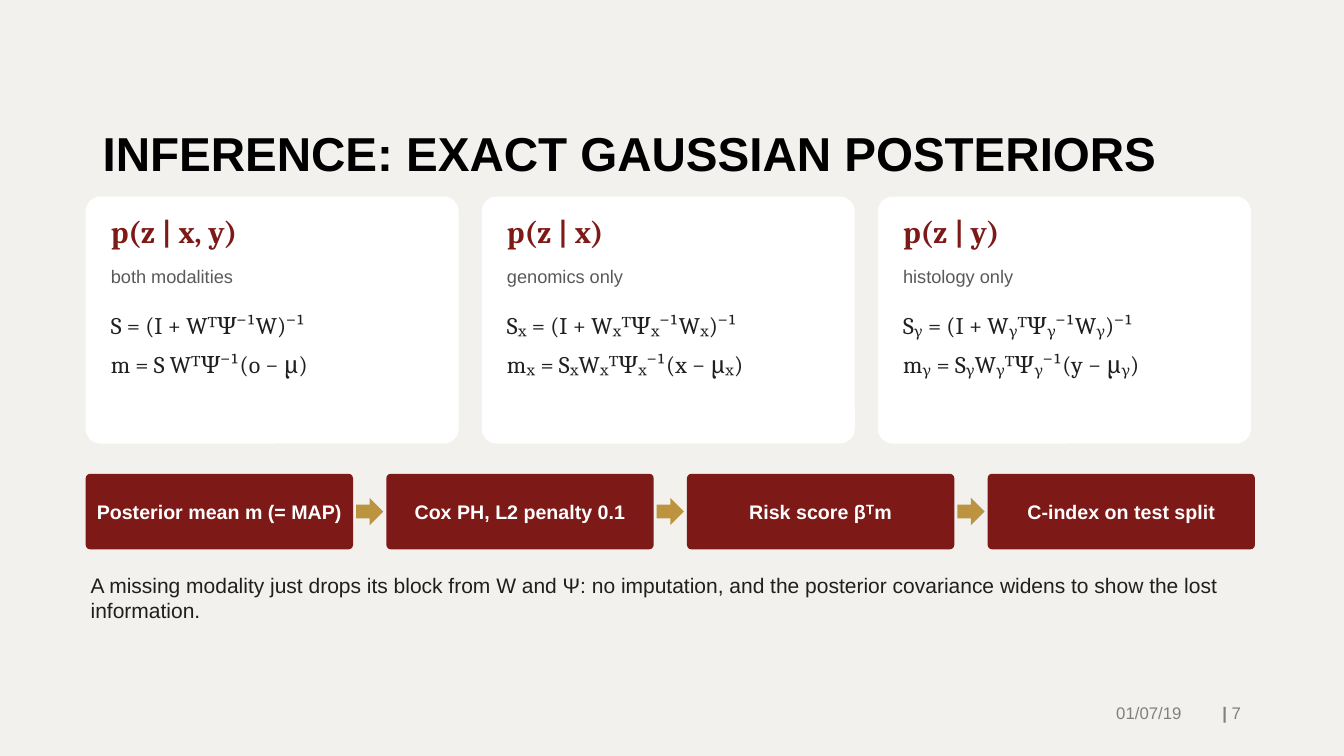
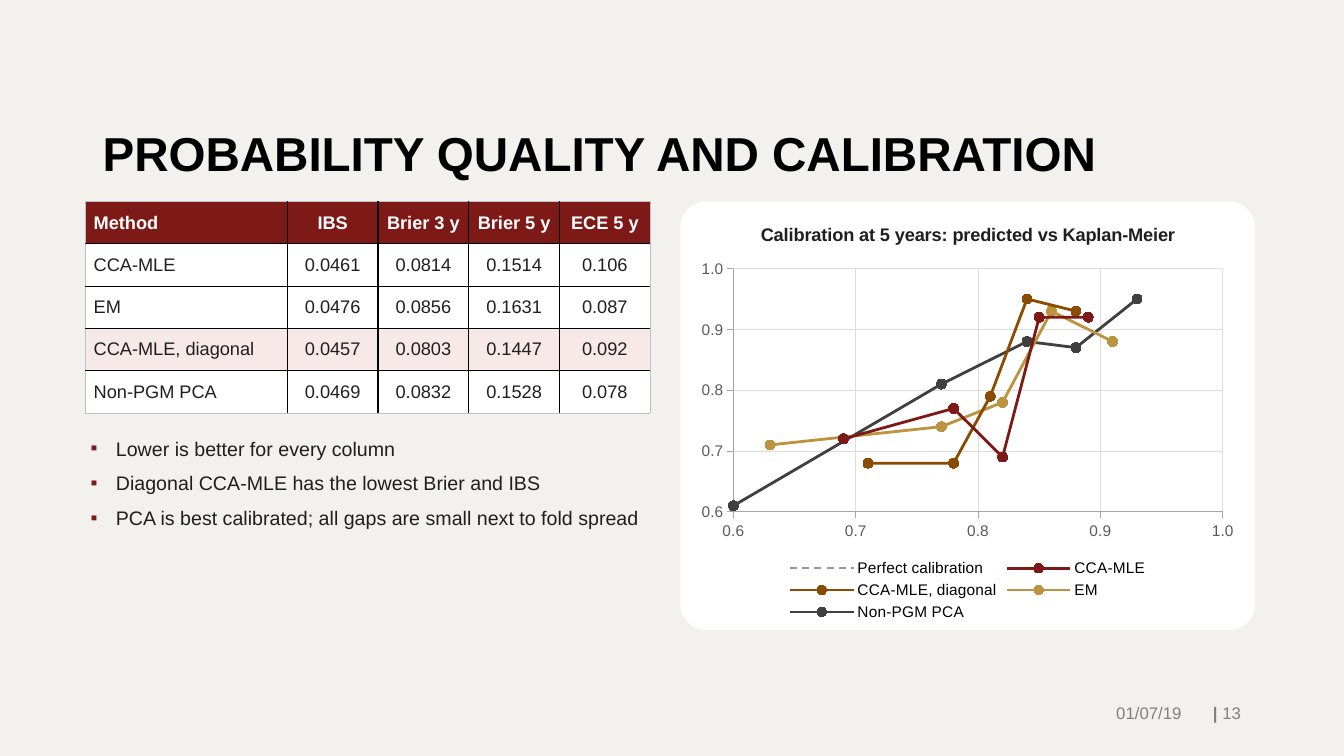
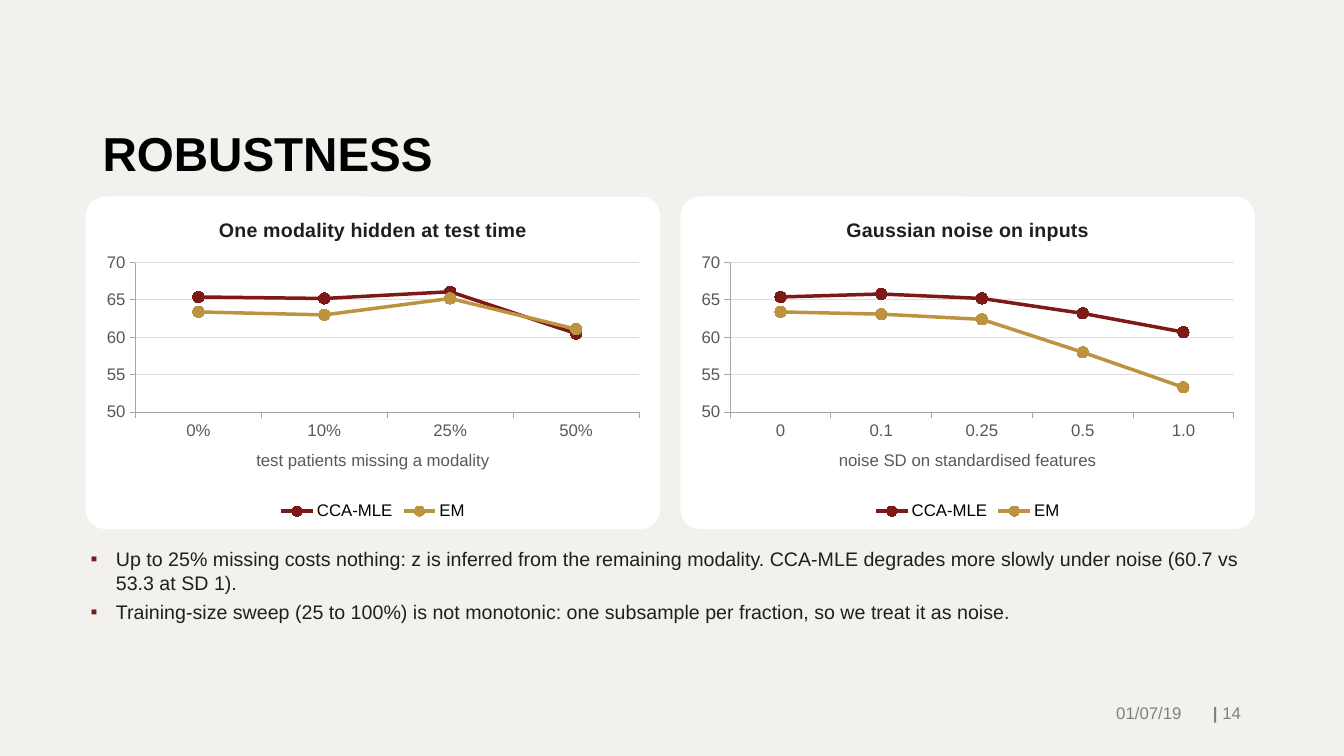
import dataclasses

import lxml.etree
import pptx
import pptx.chart.data
import pptx.dml.color
import pptx.enum.chart
import pptx.enum.dml
import pptx.enum.shapes
import pptx.enum.text
import pptx.oxml.ns
import pptx.util


@dataclasses.dataclass(frozen=True)
class Theme:
    """Colours, fonts and type sizes of the deck."""
    sans: str = "Arial"
    serif: str = "Cambria"
    paper: str = "F2F1EE"
    white: str = "FFFFFF"
    black: str = "000000"
    ink: str = "1F1F1F"
    soft: str = "595959"
    footer: str = "808080"
    maroon: str = "7D1916"
    blush: str = "F6E9E8"
    gold: str = "BC933E"
    brown: str = "894C00"
    charcoal: str = "404040"
    reference: str = "999999"
    axis: str = "A5A5A5"
    grid: str = "DDDDDD"
    edge: str = "BFBFBF"
    title_size: int = 34
    formula_size: int = 22
    equation_size: int = 17
    note_size: int = 15
    body_size: int = 14
    small_size: int = 13
    footer_size: int = 12
    tick_size: int = 11


THEME = Theme()
CELL = pptx.util.Inches(0.1)
MARGIN, CONTENT = 8.5, 116
TEXT_INSETS = (0.5, 0.3)
PP_ALIGN = pptx.enum.text.PP_ALIGN
ANCHOR = pptx.enum.text.MSO_ANCHOR
SHAPE = pptx.enum.shapes.MSO_SHAPE
CHART = pptx.enum.chart.XL_CHART_TYPE


def cells(*lengths):
    """Turn grid cells into slide lengths."""
    return [round(length * CELL) for length in lengths]


def columns(count, gap, span=CONTENT):
    """Return the left edges and the shared width of equal columns."""
    width = (span - gap * (count - 1)) / count
    return [MARGIN + index * (width + gap) for index in range(count)], width


def rgb(code):
    """Turn a hex code into a colour."""
    return pptx.dml.color.RGBColor.from_string(code)


def paint(fill, color):
    """Give a fill one solid colour."""
    fill.solid()
    fill.fore_color.rgb = rgb(color)


def style_font(font, size, color, bold=False, name=THEME.sans):
    """Set the look of a font."""
    font.name, font.size, font.bold = name, pptx.util.Pt(size), bold
    font.color.rgb = rgb(color)


def add_xml(parent, tag, **attributes):
    """Append a drawing element to its parent."""
    return lxml.etree.SubElement(parent, pptx.oxml.ns.qn(tag), attributes)


def add_bullet(para):
    """Give a paragraph a square bullet with a hanging indent."""
    props = para._p.get_or_add_pPr()
    indent = pptx.util.Inches(0.25)
    props.set("marL", str(indent))
    props.set("indent", str(-indent))
    add_xml(add_xml(props, "a:buClr"), "a:srgbClr", val=THEME.maroon)
    add_xml(props, "a:buFont", typeface=THEME.sans)
    add_xml(props, "a:buChar", char="▪")


def write(frame, *lines, size=THEME.body_size, color=THEME.ink, bold=False,
          font=THEME.sans, align=PP_ALIGN.LEFT, after=0, spacing=None, bullet=False):
    """Fill a frame; a line is text or a list of (text, bold) spans."""
    for index, line in enumerate(lines):
        para = frame.paragraphs[0] if index == 0 else frame.add_paragraph()
        if bullet:
            add_bullet(para)
        para.alignment = align
        if after:
            para.space_after = pptx.util.Pt(after)
        if spacing:
            para.line_spacing = spacing
        for text, weight in [(line, bold)] if isinstance(line, str) else line:
            span = para.add_run()
            span.text = text
            style_font(span.font, size, color, weight, font)


def set_frame(frame, anchor, insets):
    """Set wrapping, anchor and insets of a text frame."""
    frame.word_wrap = True
    frame.vertical_anchor = anchor
    side, edge = cells(*insets)
    frame.margin_left = frame.margin_right = side
    frame.margin_top = frame.margin_bottom = edge


def add_text(page, area, *lines, anchor=ANCHOR.TOP, insets=TEXT_INSETS, **style):
    """Add a text box."""
    box = page.shapes.add_textbox(*cells(*area))
    set_frame(box.text_frame, anchor, insets)
    write(box.text_frame, *lines, **style)


def add_block(page, area, color, kind=SHAPE.ROUNDED_RECTANGLE):
    """Add a flat filled shape."""
    block = page.shapes.add_shape(kind, *cells(*area))
    block.shadow.inherit = False
    paint(block.fill, color)
    block.line.fill.background()
    if kind == SHAPE.ROUNDED_RECTANGLE:
        block.adjustments[0] = 0.06
    return block


def add_page(deck, title, number):
    """Add a slide with its title and footer."""
    page = deck.slides.add_slide(deck.slide_layouts[6])
    add_text(page, (9.2, 4, 115, 14.5), title, anchor=ANCHOR.BOTTOM, insets=(1, 0.5),
             size=THEME.title_size, color=THEME.black, bold=True, spacing=0.9)
    for left, width, line in ((118.1, 6, [("| ", True), (str(number), False)]),
                              (86.7, 31.5, "01/07/19")):
        add_text(page, (left, 68.7, width, 4.1), line, anchor=ANCHOR.MIDDLE,
                 insets=(1, 0.5), size=THEME.footer_size, color=THEME.footer,
                 align=PP_ALIGN.RIGHT)
    return page


def add_posterior(page, left, width, formula, caption, equations):
    """Add a card with a posterior and its equations."""
    add_block(page, (left, 19.5, width, 24.5), THEME.white)
    inner, inner_width = left + 2, width - 4
    add_text(page, (inner, 20.8, inner_width, 5), formula, size=THEME.formula_size,
             color=THEME.maroon, bold=True, font=THEME.serif)
    add_text(page, (inner, 26, inner_width, 3.5), caption, size=THEME.small_size,
             color=THEME.soft)
    add_text(page, (inner, 30.5, inner_width, 13), *equations,
             size=THEME.equation_size, font=THEME.serif, after=8)


def add_flow(page, top, height, steps):
    """Add a row of steps joined by arrows."""
    gap, arrow = 3.3, 2.7
    lefts, width = columns(len(steps), gap)
    for index, (left, step) in enumerate(zip(lefts, steps)):
        block = add_block(page, (left, top, width, height), THEME.maroon)
        set_frame(block.text_frame, ANCHOR.MIDDLE, TEXT_INSETS)
        write(block.text_frame, step, color=THEME.white, bold=True, align=PP_ALIGN.CENTER)
        if index:
            add_block(page, (left - (gap + arrow) / 2, top + (height - arrow) / 2,
                             arrow, arrow), THEME.gold, SHAPE.RIGHT_ARROW)


def add_borders(cell, outer):
    """Draw cell borders, pale on the outer sides."""
    props = cell._tc.get_or_add_tcPr()
    for side in ("L", "R", "T", "B"):
        width = pptx.util.Pt(0.5 if side in outer else 1)
        line = add_xml(props, f"a:ln{side}", w=str(width))
        add_xml(add_xml(line, "a:solidFill"), "a:srgbClr",
                val=THEME.edge if side in outer else THEME.black)


def add_table(page, area, widths, rows, highlight):
    """Add a table with a dark header and one tinted row."""
    table = page.shapes.add_table(len(rows), len(widths), *cells(*area)).table
    for column, width in zip(table.columns, cells(*widths)):
        column.width = width
    last_row, last_column = len(rows) - 1, len(widths) - 1
    for r, row in enumerate(rows):
        fill = THEME.maroon if r == 0 else THEME.blush if r == highlight else THEME.white
        for c, text in enumerate(row):
            cell = table.cell(r, c)
            sides = {"L": c == 0, "R": c == last_column, "T": r == 0, "B": r == last_row}
            add_borders(cell, [side for side, outside in sides.items() if outside])
            paint(cell.fill, fill)
            cell.vertical_anchor = ANCHOR.MIDDLE
            cell.margin_left, cell.margin_top = cells(0.8, 0.3)
            cell.margin_right, cell.margin_bottom = cells(0.8, 0.3)
            write(cell.text_frame, text, size=THEME.small_size, bold=r == 0,
                  color=THEME.ink if r else THEME.white,
                  align=PP_ALIGN.CENTER if c else PP_ALIGN.LEFT)


def style_axis(axis, size, scale=None, grid=False, number_format=None):
    """Set ticks, lines and scale of an axis."""
    style_font(axis.tick_labels.font, size, THEME.soft)
    axis.format.line.color.rgb = rgb(THEME.axis)
    axis.format.line.width = pptx.util.Pt(0.75)
    axis.major_tick_mark = pptx.enum.chart.XL_TICK_MARK.OUTSIDE
    axis.minor_tick_mark = pptx.enum.chart.XL_TICK_MARK.NONE
    axis.has_major_gridlines = grid
    if grid:
        axis.major_gridlines.format.line.color.rgb = rgb(THEME.grid)
        axis.major_gridlines.format.line.width = pptx.util.Pt(0.75)
    if scale:
        axis.minimum_scale, axis.maximum_scale, axis.major_unit = scale
    if number_format:
        axis.tick_labels.number_format = number_format
        axis.tick_labels.number_format_is_linked = False


def style_series(series, color, width, marker):
    """Colour a line and its round markers."""
    series.format.line.color.rgb = rgb(color)
    series.format.line.width = pptx.util.Pt(width)
    if marker:
        series.marker.style = pptx.enum.chart.XL_MARKER_STYLE.CIRCLE
        series.marker.size = marker
        paint(series.marker.format.fill, color)
        series.marker.format.line.color.rgb = rgb(color)
    else:
        series.marker.style = pptx.enum.chart.XL_MARKER_STYLE.NONE
        series.format.line.dash_style = pptx.enum.dml.MSO_LINE.DASH


def add_chart(page, area, kind, data, title, size, title_size):
    """Add a titled chart with a bottom legend on a white panel."""
    left, top, width, height = area
    add_block(page, area, THEME.white)
    chart = page.shapes.add_chart(
        kind, *cells(left + 1, top + 0.5, width - 2, height - 1), data).chart
    style_font(chart.font, size, THEME.black)
    chart.has_title = True
    write(chart.chart_title.text_frame, title, size=title_size, bold=True,
          align=PP_ALIGN.CENTER)
    chart.has_legend = True
    chart.legend.position = pptx.enum.chart.XL_LEGEND_POSITION.BOTTOM
    chart.legend.include_in_layout = False
    style_font(chart.legend.font, size, THEME.black)
    chart.plots[0].vary_by_categories = False
    return chart


def add_calibration(page, area, title, curves):
    """Add a scatter chart of calibration curves."""
    data = pptx.chart.data.XyChartData()
    for name, _, points in curves:
        series = data.add_series(name)
        for x, y in points:
            series.add_data_point(x, y)
    chart = add_chart(page, area, CHART.XY_SCATTER_LINES_NO_MARKERS, data, title,
                      THEME.tick_size, THEME.small_size)
    for axis in (chart.category_axis, chart.value_axis):
        style_axis(axis, THEME.tick_size, (0.6, 1, 0.1), True, "0.0")
    for index, (series, curve) in enumerate(zip(chart.plots[0].series, curves)):
        style_series(series, curve[1], 2 if index else 1.25, 7 if index else 0)


def add_sweep(page, area, title, axis_title, categories, lines):
    """Add a line chart of scores over one varied setting."""
    data = pptx.chart.data.CategoryChartData()
    data.categories = categories
    for name, _, values in lines:
        data.add_series(name, values)
    chart = add_chart(page, area, CHART.LINE_MARKERS, data, title,
                      THEME.footer_size, THEME.body_size)
    style_axis(chart.category_axis, THEME.footer_size)
    style_axis(chart.value_axis, THEME.footer_size, (50, 70, 5), True)
    write(chart.category_axis.axis_title.text_frame, axis_title, size=THEME.footer_size,
          color=THEME.soft, align=PP_ALIGN.CENTER)
    for series, line in zip(chart.plots[0].series, lines):
        style_series(series, line[1], 2.5, 8)
        series.smooth = False


def add_inference(deck):
    """Build the slide on posteriors."""
    page = add_page(deck, "INFERENCE: EXACT GAUSSIAN POSTERIORS", 7)
    cards = (
        ("p(z | x, y)", "both modalities",
         ("S = (I + WᵀΨ⁻¹W)⁻¹", "m = S WᵀΨ⁻¹(o − μ)")),
        ("p(z | x)", "genomics only",
         ("Sₓ = (I + WₓᵀΨₓ⁻¹Wₓ)⁻¹", "mₓ = SₓWₓᵀΨₓ⁻¹(x − μₓ)")),
        ("p(z | y)", "histology only",
         ("Sᵧ = (I + WᵧᵀΨᵧ⁻¹Wᵧ)⁻¹", "mᵧ = SᵧWᵧᵀΨᵧ⁻¹(y − μᵧ)")),
    )
    lefts, width = columns(len(cards), 2.3, span=115.6)
    for left, card in zip(lefts, cards):
        add_posterior(page, left, width, *card)
    add_flow(page, 47, 7.5, ("Posterior mean m (= MAP)", "Cox PH, L2 penalty 0.1",
                             "Risk score βᵀm", "C-index on test split"))
    add_text(page, (MARGIN, 56.5, CONTENT, 6),
             "A missing modality just drops its block from W and Ψ: no imputation, "
             "and the posterior covariance widens to show the lost information.",
             size=THEME.note_size, after=6)


def add_quality(deck):
    """Build the slide on calibration."""
    page = add_page(deck, "PROBABILITY QUALITY AND CALIBRATION", 13)
    add_table(page, (MARGIN, 20, 56, 21), (20, 9, 9, 9, 9), (
        ("Method", "IBS", "Brier 3 y", "Brier 5 y", "ECE 5 y"),
        ("CCA-MLE", "0.0461", "0.0814", "0.1514", "0.106"),
        ("EM", "0.0476", "0.0856", "0.1631", "0.087"),
        ("CCA-MLE, diagonal", "0.0457", "0.0803", "0.1447", "0.092"),
        ("Non-PGM PCA", "0.0469", "0.0832", "0.1528", "0.078"),
    ), highlight=3)
    add_text(page, (MARGIN, 43, 56, 20),
             "Lower is better for every column",
             "Diagonal CCA-MLE has the lowest Brier and IBS",
             "PCA is best calibrated; all gaps are small next to fold spread",
             bullet=True, after=8)
    lefts, width = columns(2, 2)
    add_calibration(
        page, (lefts[1], 20, width, 42.5),
        "Calibration at 5 years: predicted vs Kaplan-Meier", (
            ("Perfect calibration", THEME.reference, ((0.6, 0.6), (1, 1))),
            ("CCA-MLE", THEME.maroon,
             ((0.69, 0.72), (0.78, 0.77), (0.82, 0.69), (0.85, 0.92), (0.89, 0.92))),
            ("CCA-MLE, diagonal", THEME.brown,
             ((0.71, 0.68), (0.78, 0.68), (0.81, 0.79), (0.84, 0.95), (0.88, 0.93))),
            ("EM", THEME.gold,
             ((0.63, 0.71), (0.77, 0.74), (0.82, 0.78), (0.86, 0.93), (0.91, 0.88))),
            ("Non-PGM PCA", THEME.charcoal,
             ((0.6, 0.61), (0.77, 0.81), (0.84, 0.88), (0.88, 0.87), (0.93, 0.95))),
        ))


def add_robustness(deck):
    """Build the slide on robustness."""
    page = add_page(deck, "ROBUSTNESS", 14)
    sweeps = (
        ("One modality hidden at test time", "test patients missing a modality",
         ("0%", "10%", "25%", "50%"),
         (("CCA-MLE", THEME.maroon, (65.4, 65.2, 66.1, 60.5)),
          ("EM", THEME.gold, (63.4, 63, 65.2, 61.1)))),
        ("Gaussian noise on inputs", "noise SD on standardised features",
         ("0", "0.1", "0.25", "0.5", "1.0"),
         (("CCA-MLE", THEME.maroon, (65.4, 65.8, 65.2, 63.2, 60.7)),
          ("EM", THEME.gold, (63.4, 63.1, 62.4, 58, 53.3)))),
    )
    lefts, width = columns(len(sweeps), 2)
    for left, sweep in zip(lefts, sweeps):
        add_sweep(page, (left, 19.5, width, 33), *sweep)
    add_text(page, (MARGIN, 54, CONTENT, 9),
             "Up to 25% missing costs nothing: z is inferred from the remaining modality. "
             "CCA-MLE degrades more slowly under noise (60.7 vs 53.3 at SD 1).",
             "Training-size sweep (25 to 100%) is not monotonic: one subsample per "
             "fraction, so we treat it as noise.",
             bullet=True, after=4)


def main():
    """Build and save the deck."""
    deck = pptx.Presentation()
    deck.slide_width, deck.slide_height = cells(133.33, 75)
    paint(deck.slide_master.background.fill, THEME.paper)
    add_inference(deck)
    add_quality(deck)
    add_robustness(deck)
    deck.save("out.pptx")


if __name__ == "__main__":
    main()
